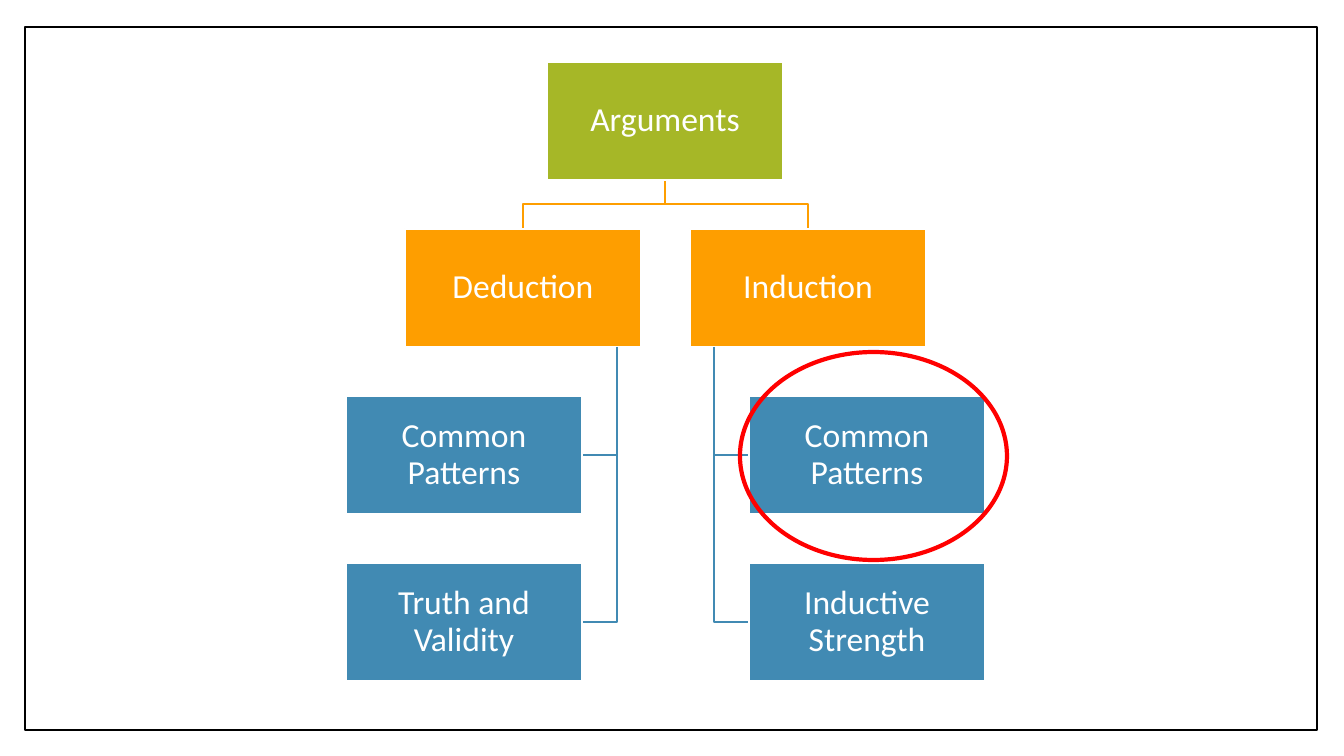
from dataclasses import dataclass

from pptx import Presentation
from pptx import util as u
from pptx.dml.color import RGBColor
from pptx.enum import shapes, text

PX = 914400 / 100.8  # EMU in one px
BOX_WIDTH, BOX_HEIGHT = 236, 118
ROW_TOP, ROW_STEP = 62, 167


@dataclass(frozen=True)
class Theme:
    font: str = "Calibri"
    label_size: int = 24
    white: str = "FFFFFF"
    black: str = "000000"
    root: str = "A6B727"
    branch: str = "FE9E00"
    leaf: str = "418AB3"
    highlight: str = "FF0000"
    frame_line: float = 1
    chart_line: float = 1.5
    highlight_line: float = 3


THEME = Theme()


def emu(px):
    return u.Emu(round(px * PX))


def row_top(row):
    return ROW_TOP + row * ROW_STEP


def row_middle(row):
    return row_top(row) + BOX_HEIGHT // 2


def style(shape, fill, line, width):
    shape.shadow.inherit = False
    if fill:
        shape.fill.solid()
        shape.fill.fore_color.rgb = RGBColor.from_string(fill)
    else:
        shape.fill.background()
    shape.line.color.rgb = RGBColor.from_string(line)
    shape.line.width = u.Pt(width)


def add_outline(page, kind, place, fill, line, width):
    shape = page.shapes.add_shape(kind, *map(emu, place))
    style(shape, fill, line, width)
    return shape


def add_node(page, label, left, row, fill):
    place = (left, row_top(row), BOX_WIDTH, BOX_HEIGHT)
    box = add_outline(page, shapes.MSO_SHAPE.RECTANGLE, place, fill,
                      THEME.white, THEME.chart_line)
    frame = box.text_frame
    frame.text = label
    frame.word_wrap = True
    frame.vertical_anchor = text.MSO_ANCHOR.MIDDLE
    frame.margin_left = frame.margin_right = emu(2)
    frame.margin_top = frame.margin_bottom = emu(2)
    para = frame.paragraphs[0]
    para.alignment = text.PP_ALIGN.CENTER
    para.line_spacing = 0.9
    span = para.runs[0]
    span.font.name = THEME.font
    span.font.size = u.Pt(THEME.label_size)
    span.font.color.rgb = RGBColor.from_string(THEME.white)


def add_elbow(page, points, color):
    builder = page.shapes.build_freeform(*points[0], scale=PX)
    builder.add_line_segments(points[1:], close=False)
    style(builder.convert_to_shape(), None, color, THEME.chart_line)


def add_branch(page, label, left, stem, leaf_left, leaf_edge, leaves):
    # Link from the root
    root_middle, middle = 665, left + BOX_WIDTH // 2
    start, end = row_top(0) + BOX_HEIGHT, row_top(1)
    turn = (start + end) // 2
    add_elbow(page, [(root_middle, start), (root_middle, turn),
                     (middle, turn), (middle, end)], THEME.branch)
    add_node(page, label, left, 1, THEME.branch)

    # Leaves hanging from the stem
    for row, leaf in enumerate(leaves, start=2):
        add_elbow(page, [(stem, row_top(1) + BOX_HEIGHT),
                         (stem, row_middle(row)),
                         (leaf_edge, row_middle(row))], THEME.leaf)
        add_node(page, leaf, leaf_left, row, THEME.leaf)


def main():
    deck = Presentation()
    deck.slide_width, deck.slide_height = emu(1344), emu(756)
    page = deck.slides.add_slide(deck.slide_layouts[6])

    # Page frame
    add_outline(page, shapes.MSO_SHAPE.RECTANGLE, (25, 27, 1292, 703),
                THEME.white, THEME.black, THEME.frame_line)

    # Argument tree
    add_branch(page, "Deduction", 405, 617, 346, 346 + BOX_WIDTH,
               ["Common Patterns", "Truth and Validity"])
    add_branch(page, "Induction", 690, 714, 749, 749,
               ["Common Patterns", "Inductive Strength"])
    add_node(page, "Arguments", 547, 0, THEME.root)

    # Highlight ring
    add_outline(page, shapes.MSO_SHAPE.OVAL, (740, 352, 267, 208),
                None, THEME.highlight, THEME.highlight_line)

    deck.save("out.pptx")


if __name__ == "__main__":
    main()
